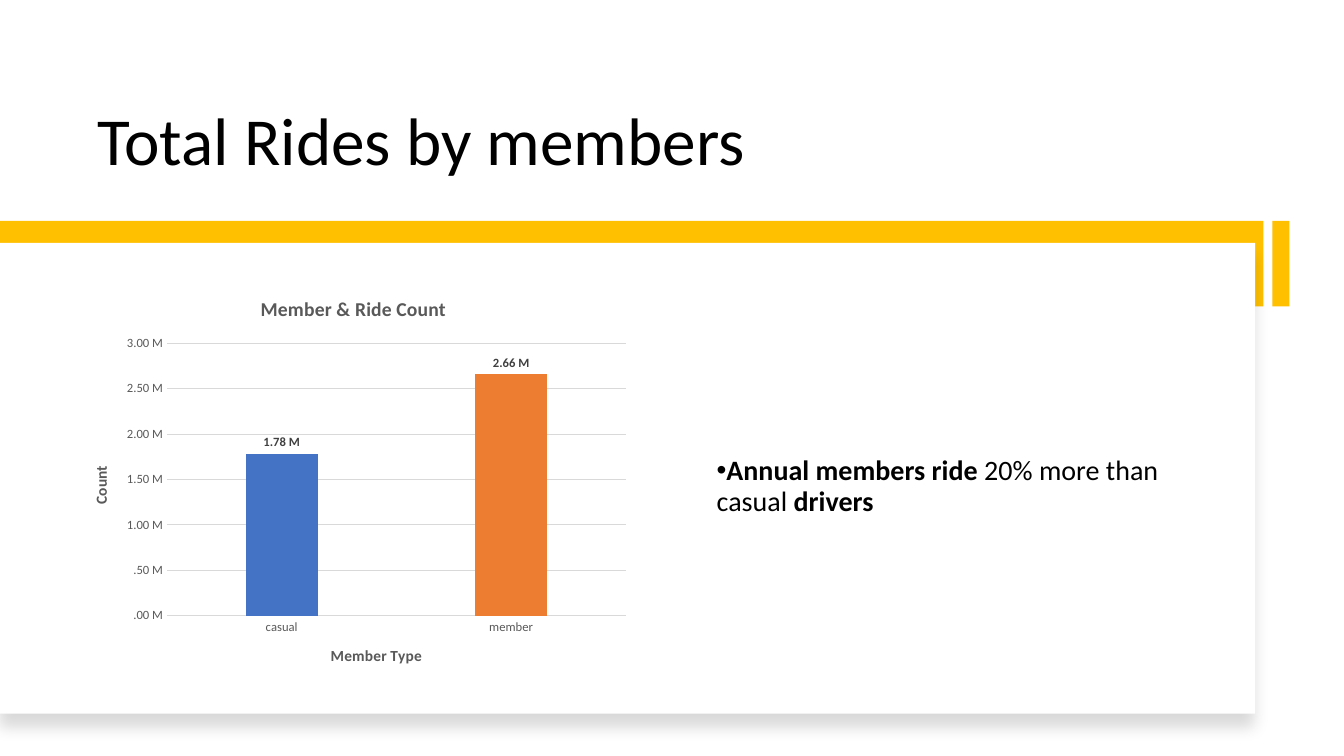
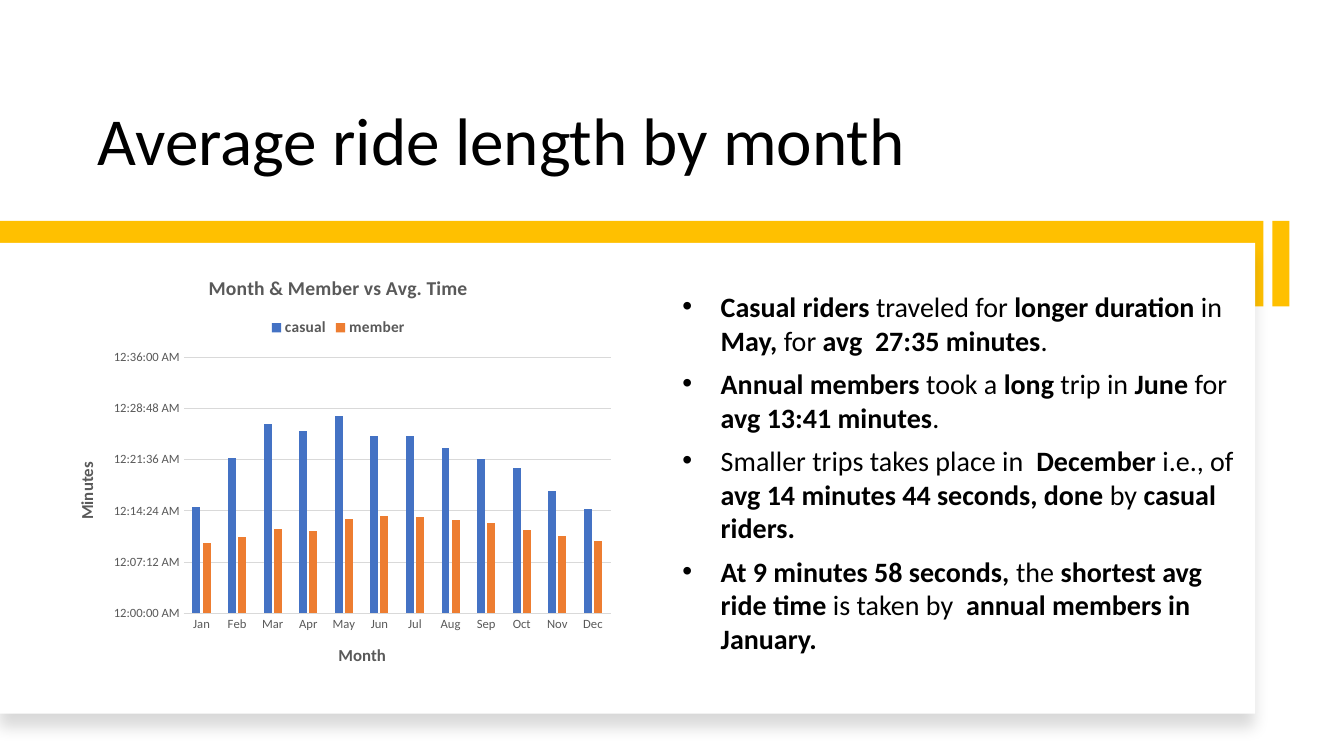
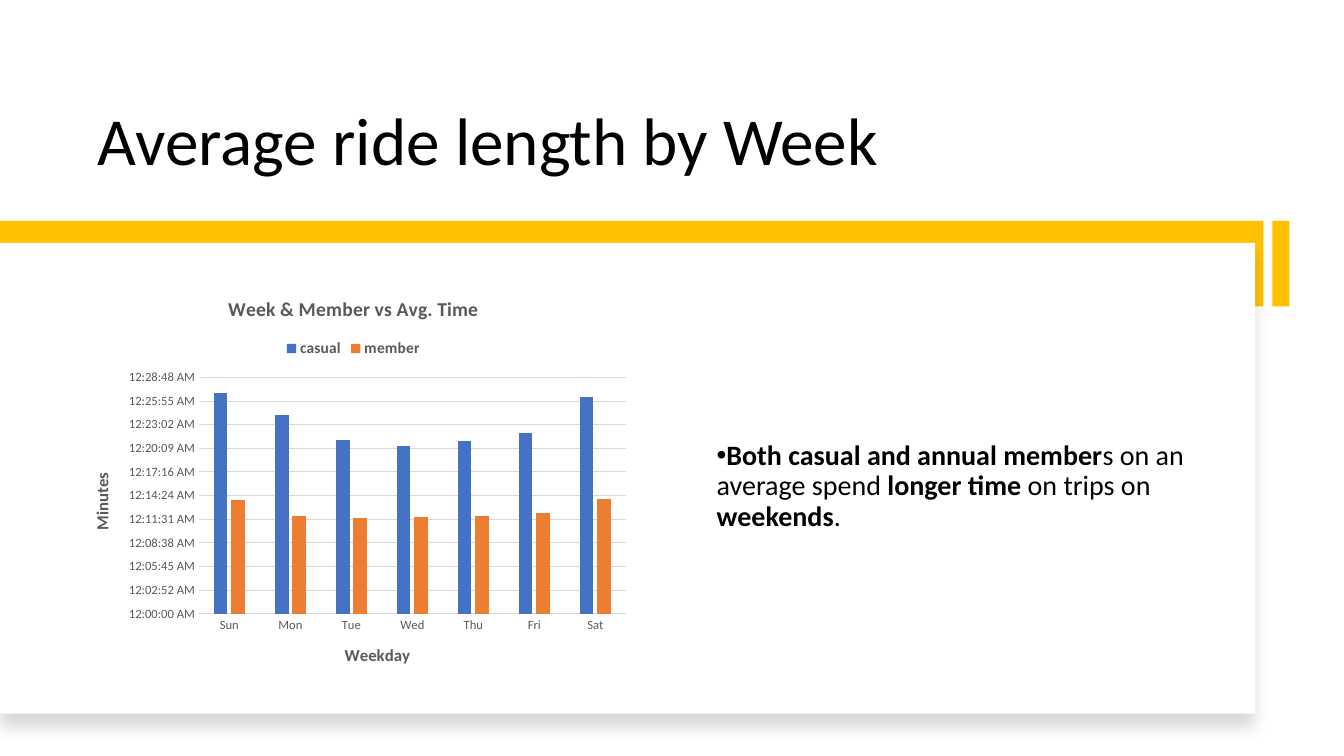
import lxml.etree
import pptx
import pptx.chart.data
import pptx.dml.color
import pptx.enum.chart
import pptx.enum.shapes
import pptx.enum.text
import pptx.oxml
import pptx.oxml.ns
import pptx.util

Inches = pptx.util.Inches
Pt = pptx.util.Pt
RGBColor = pptx.dml.color.RGBColor
qn = pptx.oxml.ns.qn

FONT = "Calibri"
BLACK = RGBColor(0x00, 0x00, 0x00)
WHITE = RGBColor(0xFF, 0xFF, 0xFF)
YELLOW = RGBColor(0xFF, 0xC0, 0x00)
BLUE = RGBColor(0x44, 0x72, 0xC4)
ORANGE = RGBColor(0xED, 0x7D, 0x31)
GRAY = RGBColor(0x59, 0x59, 0x59)
DARK_GRAY = RGBColor(0x40, 0x40, 0x40)
LIGHT_GRAY = RGBColor(0xD9, 0xD9, 0xD9)

CLOCK = r"[$-F400]h:mm:ss\ AM/PM"
MILLIONS = '#.00,," M"'
CHART_BOX = (0.69, 2.76, 5.63, 4.06)
NOTE_BOX = (7.01, 2.84, 4.96, 3.98)

PANEL_SHADOW = (
    f'<a:effectLst {pptx.oxml.ns.nsdecls("a")}>'
    '<a:outerShdw blurRad="139700" dist="127000" dir="5400000" algn="t" rotWithShape="0">'
    '<a:srgbClr val="000000"><a:alpha val="15000"/></a:srgbClr>'
    "</a:outerShdw></a:effectLst>"
)


def set_font(font, size, color, bold=False):
    font.name = FONT
    font.size = Pt(size)
    font.color.rgb = color
    font.bold = bold


class RideDeck:
    """Holds the style of the deck and the slide being filled."""

    def __init__(self):
        self.deck = pptx.Presentation()
        self.deck.slide_width = Inches(13.33)
        self.deck.slide_height = Inches(7.5)
        self.page = None

    def add_page(self, title):
        self.page = self.deck.slides.add_slide(self.deck.slide_layouts[5])
        self.add_title(title)
        self.add_rectangle(0, 2.19, 12.53, 0.85, YELLOW)
        panel = self.add_rectangle(0, 2.41, 12.45, 4.67, WHITE)
        properties = panel._element.spPr
        properties.remove(properties.find(qn("a:effectLst")))
        properties.append(pptx.oxml.parse_xml(PANEL_SHADOW))
        self.add_rectangle(12.62, 2.19, 0.17, 0.85, YELLOW)

    def add_title(self, text):
        box = self.page.shapes.title
        box.left, box.top = Inches(0.87), Inches(0.42)
        box.width, box.height = Inches(11.09), Inches(1.42)
        frame = box.text_frame
        frame.vertical_anchor = pptx.enum.text.MSO_ANCHOR.BOTTOM
        frame.auto_size = pptx.enum.text.MSO_AUTO_SIZE.NONE
        para = frame.paragraphs[0]
        para.alignment = pptx.enum.text.PP_ALIGN.LEFT
        para.line_spacing = 0.9
        span = para.add_run()
        span.text = text
        set_font(span.font, 48, BLACK)

    def add_rectangle(self, left, top, width, height, color):
        shape = self.page.shapes.add_shape(
            pptx.enum.shapes.MSO_SHAPE.RECTANGLE,
            Inches(left), Inches(top), Inches(width), Inches(height))
        shape.shadow.inherit = False
        shape.fill.solid()
        shape.fill.fore_color.rgb = color
        shape.line.fill.background()
        return shape

    def add_bullets(self, place, texts, margin=0, hanging=0.25, line_spacing=0.9, space_after=6):
        """Add bulleted paragraphs; text between ** marks is bold."""
        box = self.page.shapes.add_textbox(*map(Inches, place))
        frame = box.text_frame
        frame.word_wrap = True
        frame.vertical_anchor = pptx.enum.text.MSO_ANCHOR.MIDDLE
        for index, text in enumerate(texts):
            para = frame.add_paragraph() if index else frame.paragraphs[0]
            para.line_spacing = line_spacing
            para.space_after = Pt(space_after)
            properties = para._p.get_or_add_pPr()
            properties.set("marL", str(Inches(margin)))
            properties.set("indent", str(-Inches(hanging)))
            lxml.etree.SubElement(properties, qn("a:buFont")).set("typeface", "Arial")
            lxml.etree.SubElement(properties, qn("a:buChar")).set("char", "•")
            for position, piece in enumerate(text.split("**")):
                if piece:
                    span = para.add_run()
                    span.text = piece
                    set_font(span.font, 20, BLACK, bold=position % 2 == 1)

    def add_column_chart(self, place, title, categories, series, number_format, top_value, step):
        data = pptx.chart.data.CategoryChartData()
        data.categories = categories
        for name, values in series.items():
            data.add_series(name, values)
        chart = self.page.shapes.add_chart(
            pptx.enum.chart.XL_CHART_TYPE.COLUMN_CLUSTERED, *map(Inches, place), data).chart
        set_font(chart.font, 10, BLACK)
        chart.has_title = True
        self.write_chart_title(chart.chart_title, title, 14)
        chart.chart_title.include_in_layout = False

        plot = chart.plots[0]
        plot.gap_width = 219
        plot.overlap = -27
        plot.vary_by_categories = False
        for columns, color in zip(plot.series, (BLUE, ORANGE)):
            columns.format.fill.solid()
            columns.format.fill.fore_color.rgb = color

        for axis in (chart.category_axis, chart.value_axis):
            axis.major_tick_mark = pptx.enum.chart.XL_TICK_MARK.NONE
            axis.minor_tick_mark = pptx.enum.chart.XL_TICK_MARK.NONE
            set_font(axis.tick_labels.font, 9, GRAY)
        category_line = chart.category_axis.format.line
        value_axis = chart.value_axis
        value_axis.has_major_gridlines = True
        for line in (category_line, value_axis.major_gridlines.format.line):
            line.color.rgb = LIGHT_GRAY
            line.width = Pt(0.75)
        value_axis.format.line.fill.background()
        value_axis.minimum_scale = 0
        value_axis.maximum_scale = top_value
        value_axis.major_unit = step
        value_axis.tick_labels.number_format = number_format
        value_axis.tick_labels.number_format_is_linked = False

        chart.has_legend = len(series) > 1
        if chart.has_legend:
            chart.legend.position = pptx.enum.chart.XL_LEGEND_POSITION.TOP
            chart.legend.include_in_layout = False
            set_font(chart.legend.font, 11, GRAY, bold=True)
        return chart

    def name_axes(self, chart, category_title, value_title, size):
        self.write_chart_title(chart.category_axis.axis_title, category_title, size)
        self.write_chart_title(chart.value_axis.axis_title, value_title, size)
        body = chart.value_axis.axis_title._element.find(".//" + qn("a:bodyPr"))
        body.set("rot", "-5400000")
        body.set("vert", "horz")

    def write_chart_title(self, title, text, size):
        span = title.text_frame.paragraphs[0].add_run()
        span.text = text
        set_font(span.font, size, GRAY, bold=True)

    def label_columns(self, chart, number_format):
        labels = chart.plots[0].series[0].data_labels
        labels.show_value = True
        labels.position = pptx.enum.chart.XL_LABEL_POSITION.OUTSIDE_END
        labels.number_format = number_format
        labels.number_format_is_linked = False
        set_font(labels.font, 9, DARK_GRAY, bold=True)

    def color_column(self, chart, index, color):
        fill = chart.plots[0].series[0].points[index].format.fill
        fill.solid()
        fill.fore_color.rgb = color


def add_total_rides(rides):
    rides.add_page("Total Rides by members")
    rides.add_bullets(NOTE_BOX, ["**Annual members ride** 20% more than casual **drivers**"])
    chart = rides.add_column_chart(
        CHART_BOX, "Member & Ride Count", ["casual", "member"],
        {"Series 1": [1780000, 2660000]}, MILLIONS, 3000000, 500000)
    rides.name_axes(chart, "Member Type", "Count", 11)
    rides.label_columns(chart, MILLIONS)
    rides.color_column(chart, 1, ORANGE)


def add_monthly_length(rides):
    rides.add_page("Average ride length by month")
    rides.add_bullets((6.67, 2.55, 5.78, 4.27), [
        "**Casual riders **traveled for **longer duration **in **May, **for "
        "**avg  27:35 minutes**.",
        "**Annual members** took a **long** trip in **June **for **avg 13:41 minutes**.",
        "Smaller trips takes place in  **December **i.e., of"
        "** avg 14 minutes 44 seconds, done** by **casual riders.**",
        "**At 9 minutes 58 seconds,** the **shortest avg ride time **is taken by  "
        "**annual members in January.**",
    ], margin=0.38, hanging=0.38, line_spacing=1.0, space_after=7)
    months = ["Jan", "Feb", "Mar", "Apr", "May", "Jun",
              "Jul", "Aug", "Sep", "Oct", "Nov", "Dec"]
    chart = rides.add_column_chart(
        (0.54, 2.55, 5.63, 4.27), "Month & Member vs Avg. Time", months, {
            "casual": [0.0104, 0.0152, 0.0185, 0.0178, 0.0192, 0.0173,
                       0.0173, 0.0161, 0.0151, 0.0142, 0.0119, 0.0102],
            "member": [0.0069, 0.0074, 0.0082, 0.008, 0.0092, 0.0095,
                       0.0094, 0.0091, 0.0088, 0.0081, 0.0075, 0.0071],
        }, CLOCK, 0.025, 0.005)
    rides.name_axes(chart, "Month", "Minutes", 12)


def add_weekly_length(rides):
    rides.add_page("Average ride length by Week")
    rides.add_bullets(NOTE_BOX, [
        "**Both casual and annual member**s on an average spend **longer time **"
        "on trips on **weekends**."])
    chart = rides.add_column_chart(
        CHART_BOX, "Week & Member vs Avg. Time",
        ["Sun", "Mon", "Tue", "Wed", "Thu", "Fri", "Sat"], {
            "casual": [0.0187, 0.0168, 0.0147, 0.0142, 0.0146, 0.0153, 0.0183],
            "member": [0.0096, 0.0083, 0.0081, 0.0082, 0.0083, 0.0085, 0.0097],
        }, CLOCK, 0.02, 0.002)
    rides.name_axes(chart, "Weekday", "Minutes", 12)


def main():
    rides = RideDeck()
    add_total_rides(rides)
    add_monthly_length(rides)
    add_weekly_length(rides)
    rides.deck.save("out.pptx")


if __name__ == "__main__":
    main()
